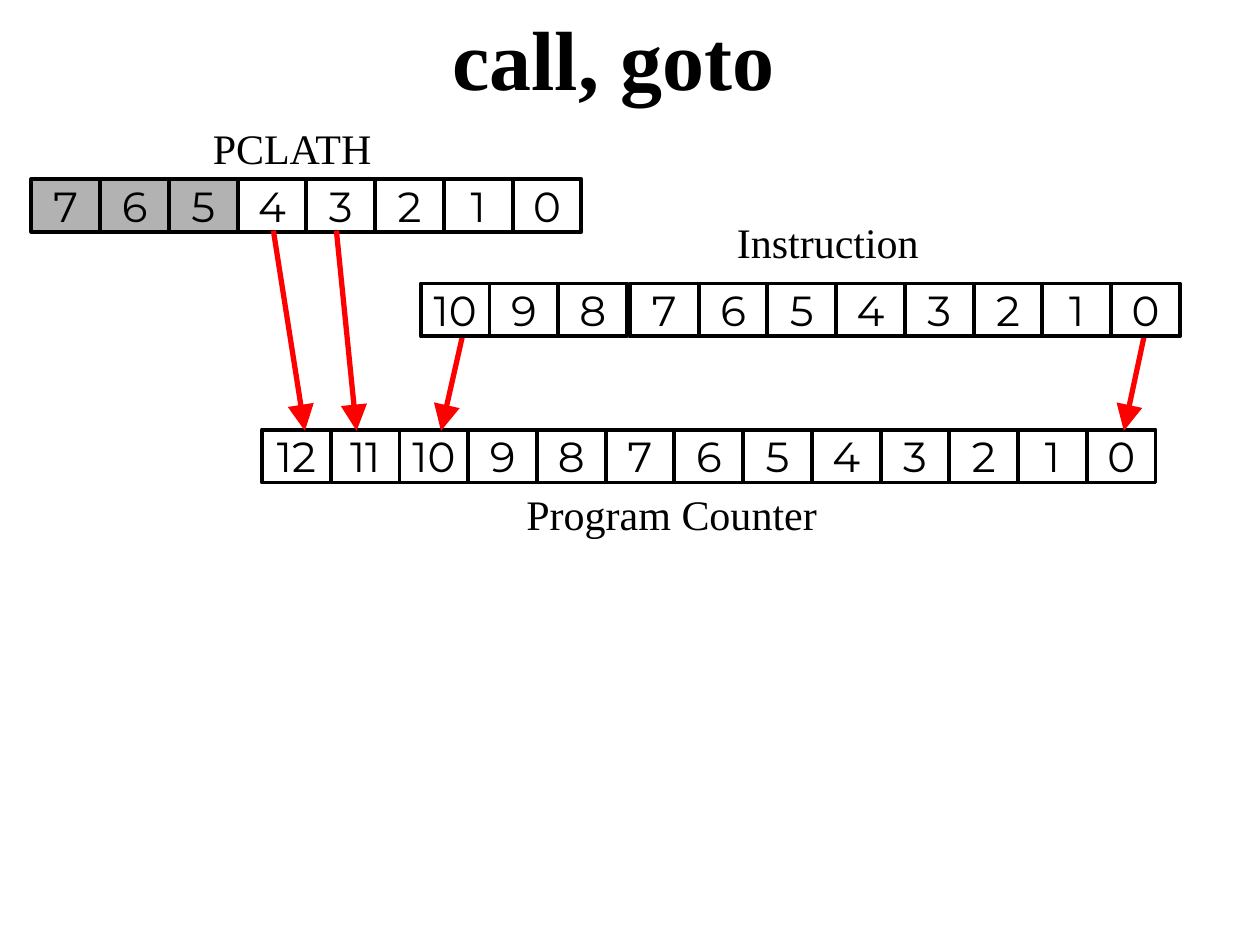
"""Build the slide that shows how call and goto load the program counter."""
from lxml import etree
from pptx import Presentation
from pptx import util as u
from pptx.dml.color import RGBColor
from pptx.enum import shapes, text
from pptx.oxml.ns import qn

THEME = {
    "ink": RGBColor(0, 0, 0), "shade": RGBColor(0xB2, 0xB2, 0xB2), "arrow": RGBColor(255, 0, 0),
    "serif": "Times New Roman", "sans": "Montserrat",
    "title": 48, "text": 24, "border": 2.25, "stroke": 3,
}
STEP, HIGH = 0.5455, 0.42

TITLE = ("call, goto", 3.49, 0, 2.85, 0.9)
LABELS = [
    ("Program Counter", 4.08, 3.83, 2.6, 0.5),
    ("PCLATH", 1.59, 0.92, 1.59, 0.5),
    ("Instruction", 5.75, 1.67, 1.74, 0.5),
]
COUNTER = {"top": 3.41, "runs": [(2.08, range(12, -1, -1))], "unused": ()}
PCLATH = {"top": 1.42, "runs": [(0.25, range(7, -1, -1))], "unused": (7, 6, 5)}
INSTR = {"top": 2.25, "runs": [(3.34, range(10, 7, -1)), (5, range(7, -1, -1))], "unused": ()}
ARROWS = [
    (3.67, 2.67, 3.5, 3.42),
    (9.08, 2.67, 8.92, 3.42),
    (2.67, 1.83, 2.83, 3.42),
    (2.17, 1.83, 2.42, 3.42),
]


def write(shape, words, face, size, align, anchor, wrap=False, bold=False):
    frame = shape.text_frame
    frame.text = words
    frame.word_wrap = wrap
    frame.auto_size = text.MSO_AUTO_SIZE.NONE
    frame.vertical_anchor = anchor
    para = frame.paragraphs[0]
    para.alignment = align
    font = para.font
    font.name, font.size, font.bold = face, u.Pt(size), bold
    font.color.rgb = THEME["ink"]


def label(shape, words, size, bold=False):
    write(shape, words, THEME["serif"], size,
          text.PP_ALIGN.LEFT, text.MSO_ANCHOR.TOP, True, bold)


def draw_row(slide, row):
    group = slide.shapes.add_group_shape()
    for left, bits in row["runs"]:
        for col, bit in enumerate(bits):
            cell = group.shapes.add_shape(
                shapes.MSO_SHAPE.RECTANGLE,
                *map(u.Inches, (left + col * STEP, row["top"], STEP, HIGH)))
            cell.shadow.inherit = False
            if bit in row["unused"]:
                cell.fill.solid()
                cell.fill.fore_color.rgb = THEME["shade"]
            else:
                cell.fill.background()
            cell.line.color.rgb = THEME["ink"]
            cell.line.width = u.Pt(THEME["border"])
            write(cell, str(bit), THEME["sans"], THEME["text"],
                  text.PP_ALIGN.CENTER, text.MSO_ANCHOR.MIDDLE)


def draw_arrow(slide, ends):
    arrow = slide.shapes.add_connector(shapes.MSO_CONNECTOR.STRAIGHT, *map(u.Inches, ends))
    arrow.line.color.rgb = THEME["arrow"]
    arrow.line.width = u.Pt(THEME["stroke"])
    props = arrow.element.spPr
    etree.SubElement(props.find(qn("a:ln")), qn("a:tailEnd"), type="triangle", w="lg", len="lg")
    etree.SubElement(props, qn("a:effectLst"))


def main():
    deck = Presentation()
    deck.slide_width, deck.slide_height = u.Inches(10), u.Inches(7.5)
    slide = deck.slides.add_slide(deck.slide_layouts[5])

    words, *box = TITLE
    title = slide.shapes.title
    title.left, title.top, title.width, title.height = map(u.Inches, box)
    label(title, words, THEME["title"], True)

    draw_row(slide, COUNTER)
    draw_row(slide, PCLATH)
    for ends in ARROWS:
        draw_arrow(slide, ends)
    draw_row(slide, INSTR)

    for words, *box in LABELS:
        label(slide.shapes.add_textbox(*map(u.Inches, box)), words, THEME["text"])
    deck.save("out.pptx")


if __name__ == "__main__":
    main()
